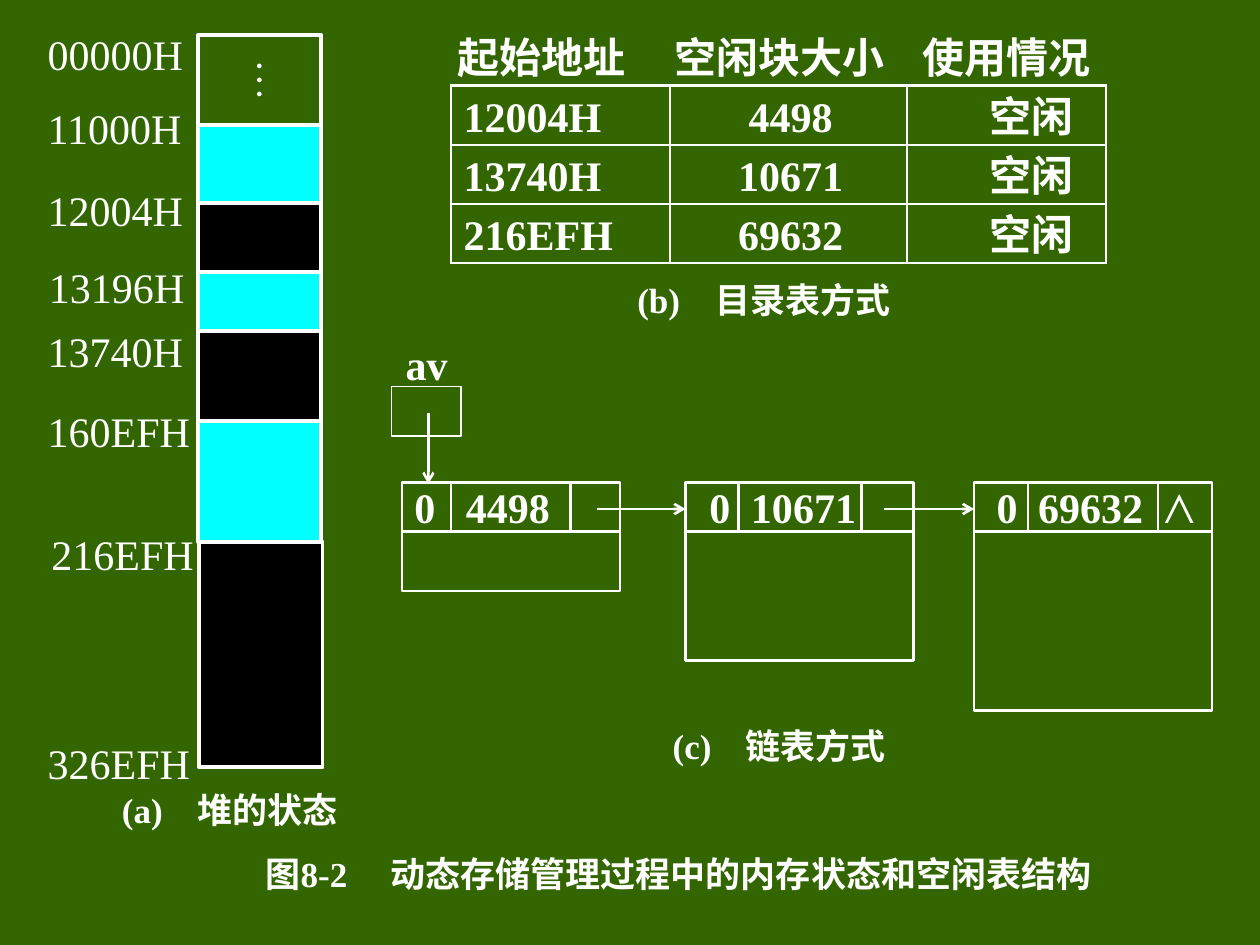
import pptx
import pptx.util
import pptx.dml.color
import pptx.enum.shapes
import pptx.enum.text
import pptx.oxml
import pptx.oxml.ns
from lxml import etree

Inches, Pt = pptx.util.Inches, pptx.util.Pt
RGB = pptx.dml.color.RGBColor.from_string
ALIGN = pptx.enum.text.PP_ALIGN
MIDDLE = pptx.enum.text.MSO_ANCHOR.MIDDLE
qn = pptx.oxml.ns.qn
THEME = {"bg": "336600", "ink": "FFFFFF", "free": "000000", "used": "00FFFF",
         "font": "Times New Roman", "body": 24, "caption": 20}

prs = pptx.Presentation()
prs.slide_width, prs.slide_height = Inches(10), Inches(7.5)
s = prs.slides.add_slide(prs.slide_layouts[6])
s.background.fill.solid()
s.background.fill.fore_color.rgb = RGB(THEME["bg"])


def add_box(x, y, w, h, text="", line=None, fill=None, size="body", bold=True,
            align=ALIGN.LEFT, inset=0.1, tabs=()):
    """Add a rectangle, or a text box when there is no line, with tab stops."""
    if line:
        sp = s.shapes.add_shape(pptx.enum.shapes.MSO_SHAPE.RECTANGLE,
                                Inches(x), Inches(y), Inches(w), Inches(h))
        sp.shadow.inherit = False
        sp.line.color.rgb = RGB(THEME["ink"])
        sp.line.width = Pt(line)
        sp.fill.background()
        if fill:
            sp.fill.solid()
            sp.fill.fore_color.rgb = RGB(THEME[fill])
    else:
        sp = s.shapes.add_textbox(Inches(x), Inches(y), Inches(w), Inches(h))
    if text:
        tf = sp.text_frame
        tf.word_wrap = True
        tf.vertical_anchor = MIDDLE
        tf.margin_left = Inches(inset)
        tf.margin_right = Inches(inset if align == ALIGN.CENTER else 0)
        p = tf.paragraphs[0]
        p.alignment = align
        if tabs:
            stops = etree.SubElement(p._p.get_or_add_pPr(), qn("a:tabLst"))
            for stop in tabs:
                etree.SubElement(stops, qn("a:tab"), pos=str(Inches(stop)), algn="l")
        p.font.name, p.font.size, p.font.bold = THEME["font"], Pt(THEME[size]), bold
        p.font.color.rgb = RGB(THEME["ink"])
        p.add_run().text = text
    return sp


def add_line(x1, y1, x2, y2, arrow=False):
    """Add a straight line, optionally with an open arrowhead at its end."""
    c = s.shapes.add_connector(pptx.enum.shapes.MSO_CONNECTOR.STRAIGHT,
                               Inches(x1), Inches(y1), Inches(x2), Inches(y2))
    c.line.color.rgb = RGB(THEME["ink"])
    c.line.width = Pt(1.5)
    if arrow:
        etree.SubElement(c.line._get_or_add_ln(), qn("a:tailEnd"), type="arrow")
    etree.SubElement(c._element.spPr, qn("a:effectLst"))


# (a) Heap state
heap_edges = [0.28, 0.99, 1.61, 2.16, 2.63, 3.34, 4.3, 6.09]
heap_fills = [None, "used", "free", "used", "free", "used", "free"]
for i, fill in enumerate(heap_fills):
    top, bottom = heap_edges[i:i + 2]
    add_box(1.58 if i == 6 else 1.57, top, 0.98, bottom - top, "" if fill else "⋮",
            line=2.25, fill=fill, bold=False, align=ALIGN.CENTER)

addresses = [("00000H", 0.28, 0.21), ("11000H", 0.28, 0.8), ("12004H", 0.28, 1.45),
             ("13196H", 0.29, 2.06), ("13740H", 0.28, 2.57), ("160EFH", 0.28, 3.2),
             ("216EFH", 0.31, 4.18), ("326EFH", 0.28, 5.84)]
for address, x, y in addresses:
    add_box(x, y, 1.28, 0.43, address, bold=False)

# (b) Directory table
rows = [("起始地址", "空闲块大小", "使用情况"), ("12004H", "4498", "空闲"),
        ("13740H", "10671", "空闲"), ("216EFH", "69632", "空闲")]
col_widths = [1.74, 1.88, 1.58]
header_insets = [0.05, 0.03, 0.12]
body_right_insets = [0.1, 0.07, 0.26]
body_aligns = [ALIGN.LEFT, ALIGN.CENTER, ALIGN.RIGHT]
row_h = 0.47
frame = s.shapes.add_table(len(rows), 3, Inches(3.58), Inches(0.21),
                           Inches(sum(col_widths)), Inches(row_h * len(rows)))
table = frame.table
table.first_row = table.horz_banding = False
for style in frame._element.iter(qn("a:tableStyleId")):
    style.text = "{2D5ABB26-0587-4C30-8999-92F81FD0307C}"
for col, width in zip(table.columns, col_widths):
    col.width = Inches(width)
for r, row in enumerate(rows):
    table.rows[r].height = Inches(row_h)
    for c, text in enumerate(row):
        cell = table.cell(r, c)
        cell.vertical_anchor = MIDDLE
        cell.margin_top = Inches(0 if r and c < 2 else 0.05)
        cell.margin_bottom = 0
        cell.margin_left = Inches(0.1 if r else header_insets[c])
        cell.margin_right = Inches(body_right_insets[c] if r else 0)
        cell.text = text
        p = cell.text_frame.paragraphs[0]
        p.alignment = body_aligns[c] if r else ALIGN.LEFT
        p.line_spacing = Pt(30)
        p.font.name, p.font.size, p.font.bold = THEME["font"], Pt(THEME["body"]), True
        p.font.color.rgb = RGB(THEME["ink"])
        tc_pr = cell._tc.get_or_add_tcPr()
        for side in ("lnL", "lnR", "lnT", "lnB"):
            ln = etree.SubElement(tc_pr, qn("a:" + side), w=str(Pt(1.5)))
            if r or side == "lnB":
                solid = etree.SubElement(ln, qn("a:solidFill"))
                etree.SubElement(solid, qn("a:srgbClr"), val=THEME["ink"])
            else:
                etree.SubElement(ln, qn("a:noFill"))
        cell.fill.background()

# (c) Linked list
node_top, head_h = 3.83, 0.39
nodes = [(3.19, 1.73, 0.47, (3.58, 4.53), "0\t4498", 0.1, (0.41,)),
         (5.44, 1.81, 1.02, (5.86, 6.84), "0\t10671", 0.19, (0.33,)),
         (7.73, 1.89, 1.42, (8.16, 9.19), "0\t69632\t", 0.18, (0.33, 1.33))]
for x, w, body_h, dividers, text, inset, tabs in nodes:
    add_box(x, node_top + head_h, w, body_h, line=1.5)
    head = add_box(x, node_top, w, head_h, text, line=1.5, inset=inset, tabs=tabs)
    for divider in dividers:
        add_line(divider, node_top, divider, node_top + head_h)
end_mark = head.text_frame.paragraphs[0].add_run()
end_mark.text = "⋀"
end_mark.font.bold = False

add_box(3.19, 2.69, 0.39, 0.39, "av", align=ALIGN.CENTER, inset=0)
add_box(3.11, 3.07, 0.55, 0.39, line=0.75)
for arrow in [(4.74, 4.04, 5.44, 4.04), (7.02, 4.04, 7.73, 4.04), (3.4, 3.28, 3.4, 3.84)]:
    add_line(*arrow, arrow=True)

# Captions
captions = [("(a)\t堆的状态", 0.87, 6.23, 2.0, 0.6),
            ("(b)\t目录表方式", 4.96, 2.18, 2.3, 0.62),
            ("(c)\t链表方式", 5.24, 5.72, 2.0, 0.58),
            ("图8-2\t动态存储管理过程中的内存状态和空闲表结构", 2.01, 6.74, 6.9, 0.99)]
for text, x, y, w, tab in captions:
    add_box(x, y, w, 0.39, text, size="caption", tabs=(tab,))

prs.save("out.pptx")
